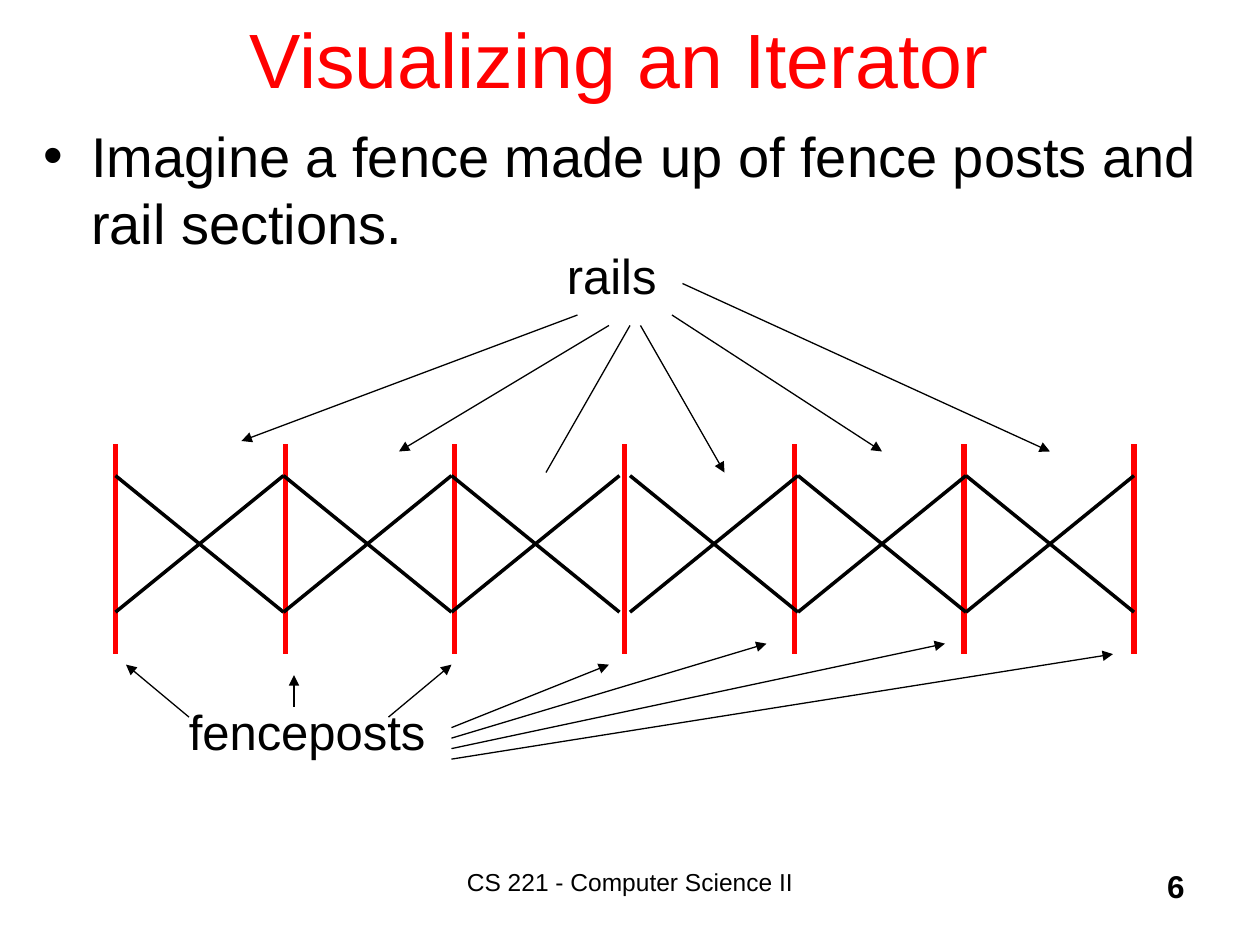
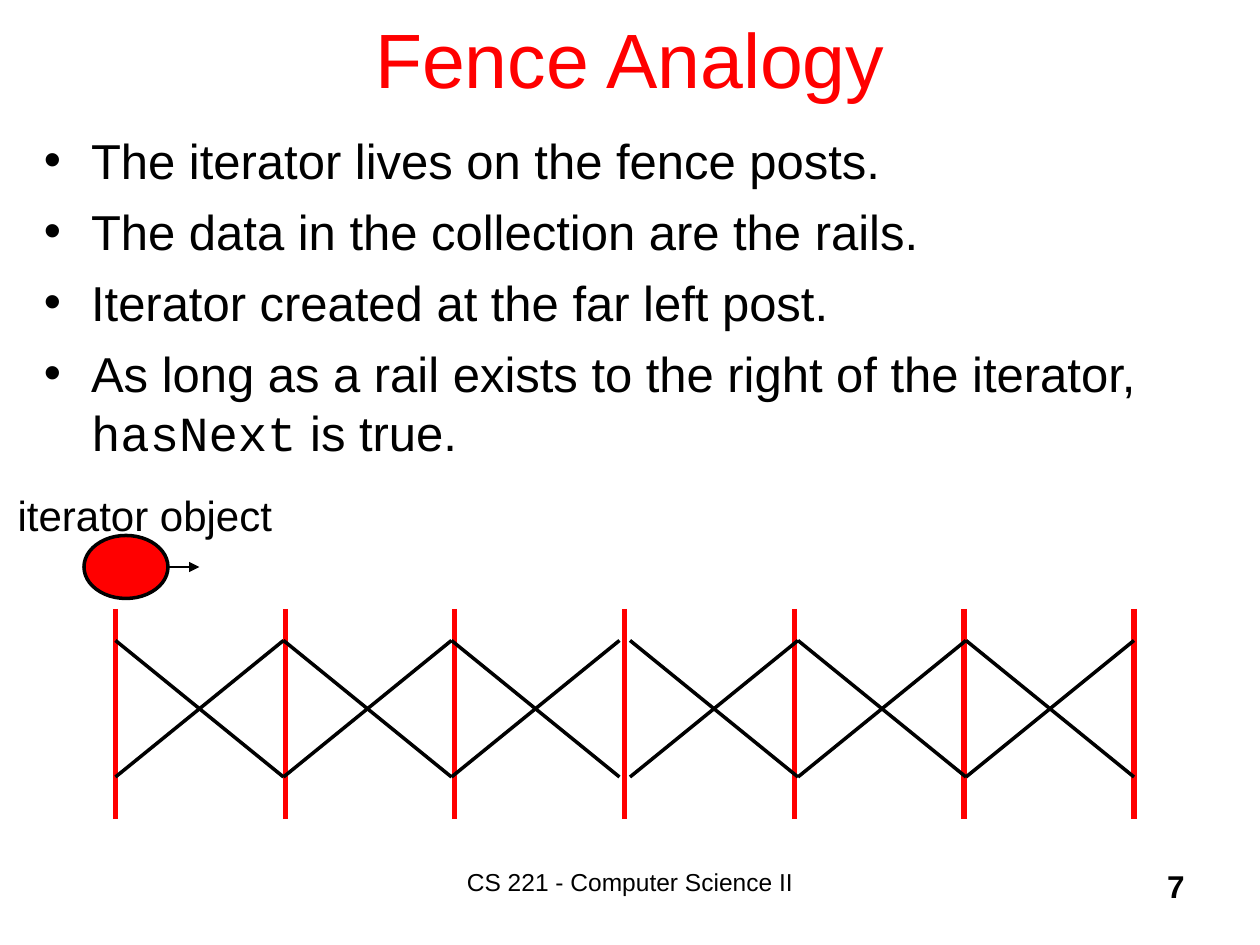
from typing import NamedTuple

from lxml.etree import SubElement
from pptx import Presentation
from pptx.dml.color import RGBColor
from pptx.enum.shapes import MSO_CONNECTOR, MSO_SHAPE
from pptx.enum.text import MSO_ANCHOR, MSO_AUTO_SIZE, PP_ALIGN
from pptx.oxml.ns import qn
from pptx.presentation import Presentation as Deck
from pptx.slide import Slide
from pptx.text.text import Font, TextFrame
from pptx.util import Emu, Pt

PX = 7620  # 120 px to the inch
RED = RGBColor(0xFF, 0x00, 0x00)
BLACK = RGBColor(0x00, 0x00, 0x00)
BODY_FONT = "Arial"
CODE_FONT = "Courier New"
FOOTER = "CS 221 - Computer Science II"
BULLET_INDENT = 45

POST_COUNT = 7
POST_HEIGHT = 200
FENCE_LEFT, FENCE_RIGHT = 110, 1080
RAIL_LEFTS = (110, 270, 430, 600, 760, 920)
RAIL_WIDTH = 160
RAIL_TOP, RAIL_BOTTOM = 30, 160


class Box(NamedTuple):
    left: int
    top: int
    width: int
    height: int

    def emu(self) -> list[Emu]:
        return [px(length) for length in self]


class Line(NamedTuple):
    x1: int
    y1: int
    x2: int
    y2: int
    arrow: bool = True


class Run(NamedTuple):
    text: str
    font: str = BODY_FONT


class Label(NamedTuple):
    text: str
    box: Box
    size: int
    space_before: int = 0
    align: PP_ALIGN = PP_ALIGN.LEFT
    bold: bool = False
    wrap: bool = True


TITLE_BOX = Box(90, -20, 1020, 150)
FOOTER_BOX = Box(370, 820, 460, 60)
NUMBER_BOX = Box(890, 820, 250, 60)

FENCEPOSTS_LABEL = Label("fenceposts", Box(168, 662, 250, 68), 28, 7, wrap=False)
RAILS_LABEL = Label("rails", Box(528, 228, 110, 68), 28, 7, wrap=False)
ITERATOR_LABEL = Label("iterator object", Box(5, 460, 266, 60), 24, 6, wrap=False)
ITERATOR_BOX = Box(80, 510, 80, 60)
ITERATOR_ARROW = Line(160, 540, 190, 540)

FENCEPOST_ARROWS = (
    Line(180, 683, 120, 633),
    Line(280, 673, 280, 643),
    Line(370, 683, 430, 633),
    Line(430, 693, 580, 633),
    Line(430, 703, 730, 613),
    Line(430, 713, 900, 613),
    Line(430, 723, 1060, 623),
)
RAIL_ARROWS = (
    Line(550, 300, 230, 420),
    Line(580, 310, 380, 430),
    Line(600, 310, 520, 450, arrow=False),
    Line(610, 310, 690, 450),
    Line(640, 300, 840, 430),
    Line(650, 270, 1000, 430),
)

FENCE_INTRO = [[Run("Imagine a fence made up of fence posts and rail sections.")]]
ITERATOR_RULES = [
    [Run("The iterator lives on the fence posts.")],
    [Run("The data in the collection are the rails.")],
    [Run("Iterator created at the far left post.")],
    [
        Run("As long as a rail exists to the right of the iterator, "),
        Run("hasNext", CODE_FONT),
        Run(" is true."),
    ],
]


def px(length: int) -> Emu:
    return Emu(length * PX)


def style_font(font: Font, size: int, color: RGBColor = BLACK, bold: bool = False) -> None:
    font.name = BODY_FONT
    font.size = Pt(size)
    font.color.rgb = color
    font.bold = bold


def add_text_frame(slide: Slide, box: Box, wrap: bool = True) -> TextFrame:
    """Add a text box; one that does not wrap grows with its text."""
    frame = slide.shapes.add_textbox(*box.emu()).text_frame
    frame.word_wrap = wrap
    frame.auto_size = MSO_AUTO_SIZE.NONE if wrap else MSO_AUTO_SIZE.SHAPE_TO_FIT_TEXT
    return frame


def add_label(slide: Slide, label: Label) -> None:
    paragraph = add_text_frame(slide, label.box, label.wrap).paragraphs[0]
    paragraph.text = label.text
    paragraph.alignment = label.align
    paragraph.space_before = Pt(label.space_before)
    style_font(paragraph.font, label.size, bold=label.bold)


def add_bullets(slide: Slide, box: Box, items: list[list[Run]], size: int, space: int) -> None:
    frame = add_text_frame(slide, box)
    for index, runs in enumerate(items):
        paragraph = frame.paragraphs[0] if index == 0 else frame.add_paragraph()
        paragraph.space_before = Pt(space)
        properties = paragraph._p.get_or_add_pPr()
        properties.set("marL", str(px(BULLET_INDENT)))
        properties.set("indent", str(px(-BULLET_INDENT)))
        SubElement(properties, qn("a:buFont")).set("typeface", BODY_FONT)
        SubElement(properties, qn("a:buChar")).set("char", "•")
        style_font(paragraph.font, size)
        for text, font_name in runs:
            run = paragraph.add_run()
            run.text = text
            if font_name != BODY_FONT:
                run.font.name = font_name


def add_line(slide: Slide, line: Line, color: RGBColor = BLACK, width: float = 0.75) -> None:
    ends = [px(length) for length in line[:4]]
    connector = slide.shapes.add_connector(MSO_CONNECTOR.STRAIGHT, *ends)
    connector.line.color.rgb = color
    connector.line.width = Pt(width)
    if line.arrow:
        SubElement(connector.line._get_or_add_ln(), qn("a:tailEnd")).set("type", "triangle")
    SubElement(connector._element.spPr, qn("a:effectLst"))


def add_fence(slide: Slide, top: int) -> None:
    """Draw the red posts and, between them, the crossed black rails."""
    for index in range(POST_COUNT):
        x = FENCE_LEFT + round(index * (FENCE_RIGHT - FENCE_LEFT) / (POST_COUNT - 1))
        add_line(slide, Line(x, top, x, top + POST_HEIGHT, arrow=False), RED, 3)
    high, low = top + RAIL_TOP, top + RAIL_BOTTOM
    for left in RAIL_LEFTS:
        for start, end in ((high, low), (low, high)):
            add_line(slide, Line(left, start, left + RAIL_WIDTH, end, arrow=False), width=2)


def add_iterator(slide: Slide) -> None:
    iterator = slide.shapes.add_shape(MSO_SHAPE.OVAL, *ITERATOR_BOX.emu())
    iterator.shadow.inherit = False
    iterator.fill.solid()
    iterator.fill.fore_color.rgb = RED
    iterator.line.color.rgb = BLACK
    iterator.line.width = Pt(2)
    add_line(slide, ITERATOR_ARROW)
    add_label(slide, ITERATOR_LABEL)


def add_titled_slide(presentation: Deck, title: str, number: int) -> Slide:
    """Add a slide with its title, footer and slide number."""
    slide = presentation.slides.add_slide(presentation.slide_layouts.get_by_name("Title Only"))
    shape = slide.shapes.title
    shape.left, shape.top, shape.width, shape.height = TITLE_BOX.emu()
    shape.text_frame.vertical_anchor = MSO_ANCHOR.MIDDLE
    paragraph = shape.text_frame.paragraphs[0]
    paragraph.text = title
    paragraph.alignment = PP_ALIGN.CENTER
    style_font(paragraph.font, 44, RED)
    add_label(slide, Label(FOOTER, FOOTER_BOX, 14, align=PP_ALIGN.CENTER))
    add_label(slide, Label(str(number), NUMBER_BOX, 18, align=PP_ALIGN.RIGHT, bold=True))
    return slide


def build_visualizing_slide(presentation: Deck) -> None:
    slide = add_titled_slide(presentation, "Visualizing an Iterator ", 6)
    add_bullets(slide, Box(30, 110, 1140, 720), FENCE_INTRO, 32, 8)
    add_fence(slide, 423)
    add_label(slide, FENCEPOSTS_LABEL)
    add_label(slide, RAILS_LABEL)
    for arrow in FENCEPOST_ARROWS + RAIL_ARROWS:
        add_line(slide, arrow)


def build_analogy_slide(presentation: Deck) -> None:
    slide = add_titled_slide(presentation, "Fence Analogy", 7)
    add_bullets(slide, Box(30, 118, 1140, 720), ITERATOR_RULES, 28, 7)
    add_fence(slide, 580)
    add_iterator(slide)


def main() -> None:
    presentation = Presentation()
    presentation.slide_width, presentation.slide_height = px(1200), px(900)
    build_visualizing_slide(presentation)
    build_analogy_slide(presentation)
    presentation.save("out.pptx")


if __name__ == "__main__":
    main()
